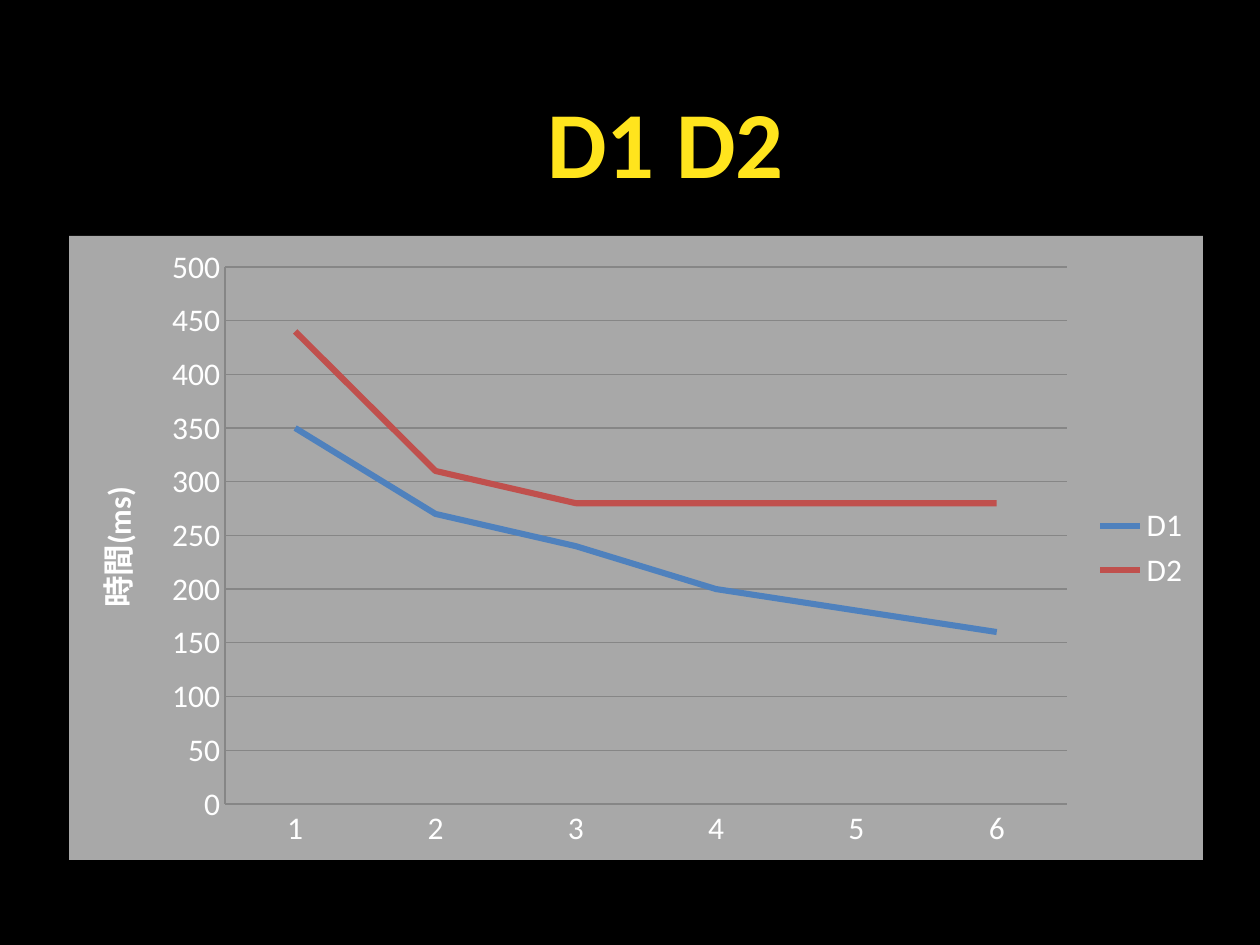
from dataclasses import dataclass

from pptx import Presentation
from pptx.chart.data import CategoryChartData
from pptx.dml.color import RGBColor
from pptx.enum.chart import XL_CHART_TYPE, XL_LEGEND_POSITION, XL_TICK_MARK
from pptx.enum.text import MSO_ANCHOR, PP_ALIGN
from pptx.oxml import parse_xml
from pptx.oxml.ns import nsdecls, qn
from pptx.util import Pt

LINE = XL_CHART_TYPE.LINE
LEGEND_RIGHT = XL_LEGEND_POSITION.RIGHT
NO_TICK = XL_TICK_MARK.NONE
CENTER = PP_ALIGN.CENTER
MIDDLE = MSO_ANCHOR.MIDDLE

EMU_PER_PX = 914400 // 126
FONT = "Calibri"
COLORS = {
    "background": "000000",
    "title": "FFE41D",
    "text": "FFFFFF",
    "panel": "FFFFFF",
    "grid": "868686",
    "D1": "4F81BD",
    "D2": "C0504D",
}


@dataclass(frozen=True)
class Box:
    left: int
    top: int
    width: int
    height: int

    def emu(self) -> tuple[int, ...]:
        return tuple(v * EMU_PER_PX for v in (self.left, self.top, self.width, self.height))


@dataclass(frozen=True)
class Timing:
    name: str
    values: tuple[int, ...]


TITLE_BOX = Box(533, 77, 265, 127)
CHART_BOX = Box(69, 236, 1134, 624)
PLOT_BOX = Box(225, 267, 842, 537)
TIMINGS = (
    Timing("D1", (350, 270, 240, 200, 180, 160)),
    Timing("D2", (440, 310, 280, 280, 280, 280)),
)


def rgb(key: str) -> RGBColor:
    return RGBColor.from_string(COLORS[key])


def style_font(font, size: int, color: str, bold: bool = False) -> None:
    font.name, font.size, font.bold = FONT, Pt(size), bold
    font.color.rgb = rgb(color)


def style_line(line, color: str, width: float) -> None:
    line.color.rgb = rgb(color)
    line.width = Pt(width)


def add_title(slide, text: str) -> None:
    frame = slide.shapes.add_textbox(*TITLE_BOX.emu()).text_frame
    frame.word_wrap = False
    frame.vertical_anchor = MIDDLE
    heading = frame.paragraphs[0]
    heading.text = text
    heading.alignment = CENTER
    style_font(heading.font, 54, "title", bold=True)


def fill_panel(chart, alpha: int) -> None:
    """Give the whole chart a translucent fill without an outline."""
    chart_space = chart.element
    chart_space.find(qn("c:chart")).addnext(parse_xml(
        f'<c:spPr {nsdecls("c", "a")}><a:solidFill><a:srgbClr val="{COLORS["panel"]}">'
        f'<a:alpha val="{alpha * 1000}"/></a:srgbClr></a:solidFill>'
        '<a:ln><a:noFill/></a:ln></c:spPr>'))


def place_plot(chart) -> None:
    """Fix the inner plot area as fractions of the chart."""
    fractions = {
        "x": (PLOT_BOX.left - CHART_BOX.left) / CHART_BOX.width,
        "y": (PLOT_BOX.top - CHART_BOX.top) / CHART_BOX.height,
        "w": PLOT_BOX.width / CHART_BOX.width,
        "h": PLOT_BOX.height / CHART_BOX.height,
    }
    modes = "".join(f'<c:{k}Mode val="edge"/>' for k in "xy")
    sizes = "".join(f'<c:{k} val="{v:.4f}"/>' for k, v in fractions.items())
    plot_area = chart.element.find(".//" + qn("c:plotArea"))
    for layout in plot_area.findall(qn("c:layout")):
        plot_area.remove(layout)
    plot_area.insert(0, parse_xml(
        f'<c:layout {nsdecls("c")}><c:manualLayout><c:layoutTarget val="inner"/>'
        f'{modes}{sizes}</c:manualLayout></c:layout>'))


def add_timing_chart(slide) -> None:
    data = CategoryChartData()
    data.categories = [str(n) for n in range(1, 7)]
    for timing in TIMINGS:
        data.add_series(timing.name, timing.values)
    chart = slide.shapes.add_chart(LINE, *CHART_BOX.emu(), data).chart
    style_font(chart.font, 18, "text")
    chart.has_title = False
    fill_panel(chart, 66)
    place_plot(chart)

    # Legend
    chart.has_legend = True
    chart.legend.position = LEGEND_RIGHT
    chart.legend.include_in_layout = False

    # Axes
    for axis in (chart.category_axis, chart.value_axis):
        axis.major_tick_mark = axis.minor_tick_mark = NO_TICK
        style_line(axis.format.line, "grid", 0.75)
    time_axis = chart.value_axis
    time_axis.minimum_scale, time_axis.maximum_scale, time_axis.major_unit = 0, 500, 50
    time_axis.has_major_gridlines = True
    style_line(time_axis.major_gridlines.format.line, "grid", 0.75)
    time_label = time_axis.axis_title.text_frame.paragraphs[0]
    time_label.text = "時間(ms)"
    style_font(time_label.font, 18, "text", bold=True)

    # Series
    chart.plots[0].vary_by_categories = False
    for series in chart.plots[0].series:
        series.smooth = False
        style_line(series.format.line, series.name, 3.5)


presentation = Presentation()
presentation.slide_width = 1260 * EMU_PER_PX
presentation.slide_height = 945 * EMU_PER_PX
slide = presentation.slides.add_slide(presentation.slide_layouts[6])
slide.background.fill.solid()
slide.background.fill.fore_color.rgb = rgb("background")
add_title(slide, "D1 D2")
add_timing_chart(slide)
presentation.save("out.pptx")
